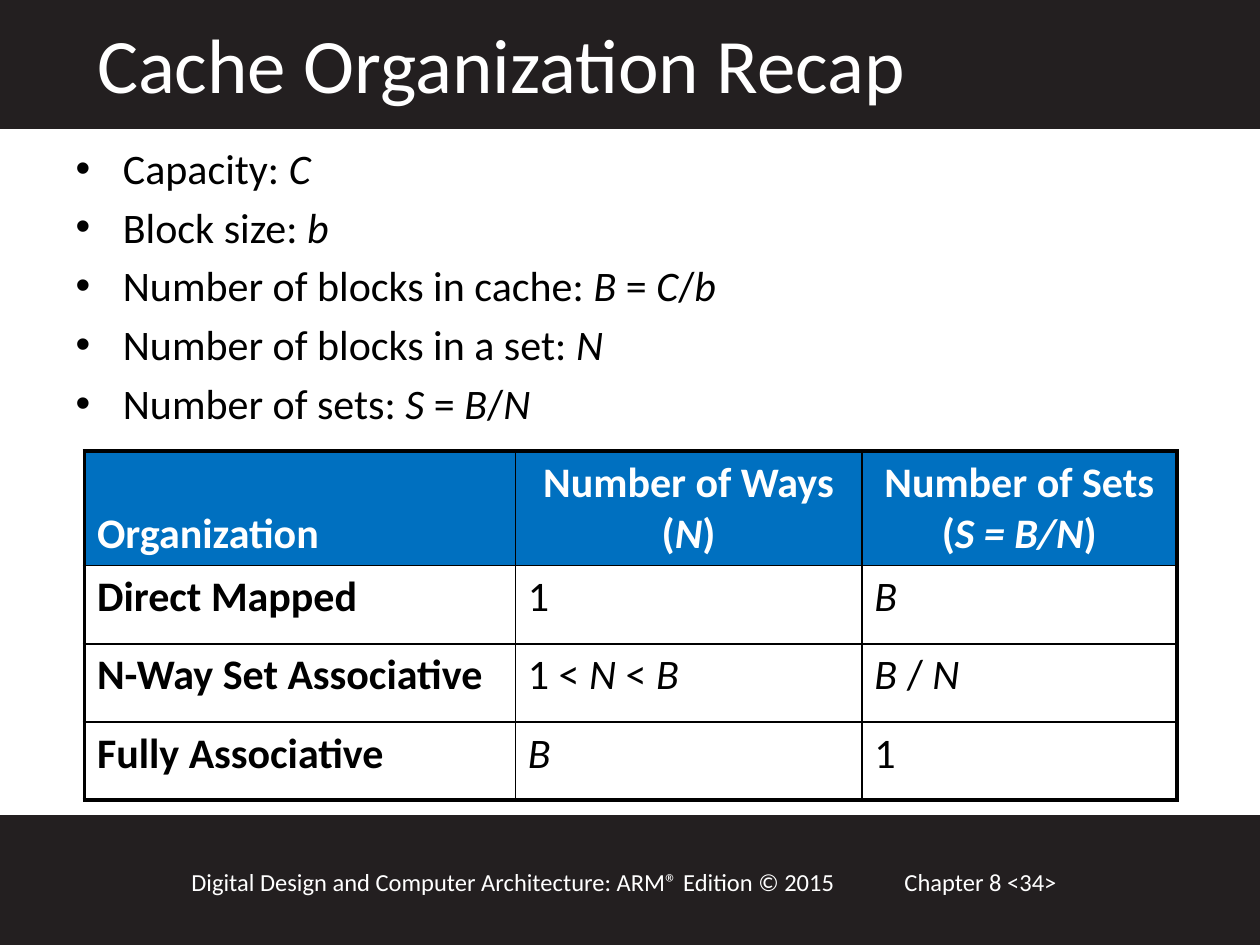
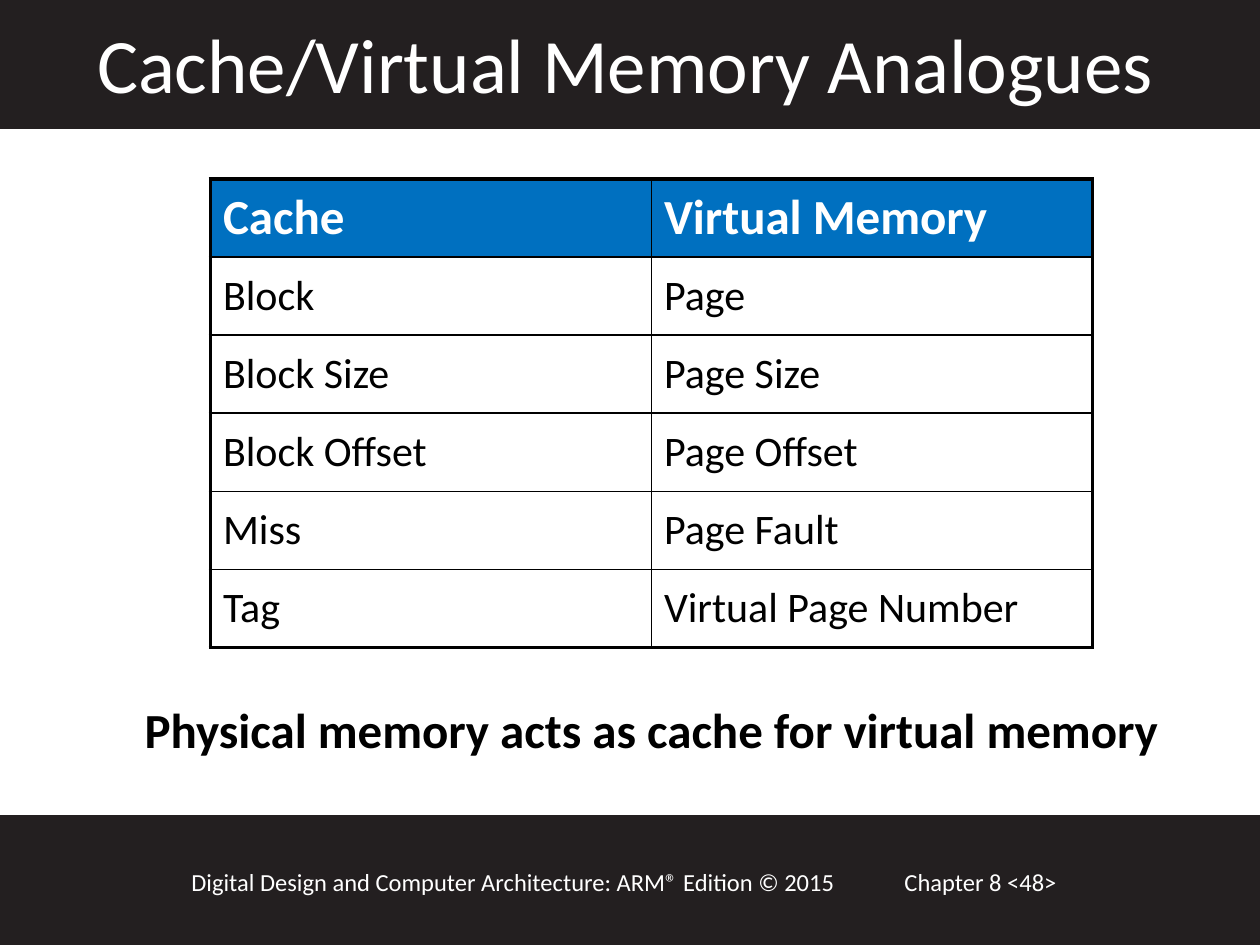
from lxml.etree import SubElement
from pptx import Presentation
from pptx.dml.color import RGBColor
from pptx.enum.shapes import MSO_SHAPE as Shape
from pptx.enum.text import MSO_ANCHOR as Anchor, PP_ALIGN as Align
from pptx.oxml.ns import qn
from pptx.util import Inches, Pt

FONT = "Calibri"
WHITE, BLACK, DARK, BLUE = "FFFFFF", "000000", "231F20", "0070C0"
OUTER, INNER = 2.25, 1
ROW_HEIGHT = 0.62
BANDS = [(0, 1.01), (6.48, 1.02)]
BOOK = "Digital Design and Computer Architecture: ARM® Edition © 2015"
CHAPTER = "Chapter 8 <{}>"

# Text between asterisks is italic.
RECAP = {
    "title": "Cache Organization Recap",
    "page": 34,
    "bullets": [
        "Capacity: *C*",
        "Block size: *b*",
        "Number of blocks in cache: *B* = *C*/*b*",
        "Number of blocks in a set: *N*",
        "Number of sets: *S* = *B*/*N*",
    ],
    "table": {
        "rows": [
            ("Organization", "Number of Ways (*N*)", "Number of Sets (*S = B/N*)"),
            ("Direct Mapped", "1", "*B*"),
            ("N-Way Set Associative", "1 < *N* < *B*", "*B* / *N*"),
            ("Fully Associative", "*B*", "1"),
        ],
        "at": (0.67, 3.58),
        "widths": (3.42, 2.75, 2.5),
        "header_height": 0.91,
        "header_size": 24,
        "header_anchor": Anchor.BOTTOM,
        "header_aligns": (Align.LEFT, Align.CENTER, Align.CENTER),
        "anchor": Anchor.TOP,
        "bold_labels": True,
    },
}
ANALOGUES = {
    "title": "Cache/Virtual Memory Analogues",
    "page": 48,
    "table": {
        "rows": [
            ("Cache", "Virtual Memory"),
            ("Block", "Page"),
            ("Block Size", "Page Size"),
            ("Block Offset", "Page Offset"),
            ("Miss", "Page Fault"),
            ("Tag", "Virtual Page Number"),
        ],
        "at": (1.67, 1.42),
        "widths": (3.5, 3.5),
        "header_height": ROW_HEIGHT,
        "header_size": 28,
        "header_anchor": Anchor.MIDDLE,
        "header_aligns": (Align.LEFT, Align.LEFT),
        "anchor": Anchor.MIDDLE,
        "bold_labels": False,
    },
    "conclusion": "Physical memory acts as cache for virtual memory",
}


def color(hex_value):
    return RGBColor.from_string(hex_value)


def place(shape, left, top, width, height):
    shape.left, shape.top = Inches(left), Inches(top)
    shape.width, shape.height = Inches(width), Inches(height)


def write(paragraph, text, size, ink, bold=False, align=Align.LEFT):
    for position, part in enumerate(text.split("*")):
        if part:
            run = paragraph.add_run()
            run.text = part
            if position % 2:
                run.font.italic = True
    paragraph.alignment = align
    font = paragraph.font
    font.name, font.size, font.bold = FONT, Pt(size), bold
    font.color.rgb = color(ink)


def add_text(slide, text, box, size, ink, bold=False):
    frame = slide.shapes.add_textbox(*map(Inches, box)).text_frame
    frame.word_wrap = True
    write(frame.paragraphs[0], text, size, ink, bold)


def add_band(slide, position, top, height):
    band = slide.shapes.add_shape(
        Shape.RECTANGLE, 0, Inches(top), Inches(10), Inches(height))
    band.shadow.inherit = False
    band.fill.solid()
    band.fill.fore_color.rgb = band.line.color.rgb = color(DARK)
    band.line.width = Pt(2)
    slide.shapes._spTree.insert(2 + position, band._element)


def start_slide(deck, layout, content):
    slide = deck.slides.add_slide(deck.slide_layouts[layout])
    for position, (top, height) in enumerate(BANDS):
        add_band(slide, position, top, height)
    add_text(slide, CHAPTER.format(content["page"]), (7.08, 6.83, 2.17, 0.34), 14, WHITE)
    add_text(slide, BOOK, (1.42, 6.83, 5.75, 0.34), 14, WHITE)
    title = slide.shapes.title
    place(title, 0.67, 0.08, 8.67, 0.84)
    write(title.text_frame.paragraphs[0], content["title"], 44, WHITE)
    return slide


def add_bullets(slide, bullets):
    body = slide.placeholders[1]
    place(body, 0.5, 1.08, 6.08, 5.42)
    frame = body.text_frame
    for position, bullet in enumerate(bullets):
        paragraph = frame.add_paragraph() if position else frame.paragraphs[0]
        write(paragraph, bullet, 24, BLACK)
        paragraph.space_before = Pt(4.8 if position else 0)


def set_borders(cell, outer_sides):
    properties = cell._tc.get_or_add_tcPr()
    for side, is_outer in zip("LRTB", outer_sides):
        width = Pt(OUTER if is_outer else INNER)
        line = SubElement(properties, qn(f"a:ln{side}"), w=str(width))
        SubElement(SubElement(line, qn("a:solidFill")), qn("a:srgbClr"), val=BLACK)


def add_table(slide, spec):
    rows, widths = spec["rows"], spec["widths"]
    heights = [spec["header_height"]] + [ROW_HEIGHT] * (len(rows) - 1)
    box = (*spec["at"], sum(widths), sum(heights))
    table = slide.shapes.add_table(len(rows), len(widths), *map(Inches, box)).table
    table.horz_banding = False
    for column, width in zip(table.columns, widths):
        column.width = Inches(width)
    for r, (texts, height) in enumerate(zip(rows, heights)):
        table.rows[r].height = Inches(height)
        for c, text in enumerate(texts):
            cell = table.cell(r, c)
            set_borders(cell, (c == 0, c == len(widths) - 1, r == 0, r == len(rows) - 1))
            cell.fill.solid()
            cell.fill.fore_color.rgb = color(WHITE if r else BLUE)
            cell.vertical_anchor = spec["anchor"] if r else spec["header_anchor"]
            paragraph = cell.text_frame.paragraphs[0]
            if r:
                write(paragraph, text, 24, BLACK, spec["bold_labels"] and c == 0)
            else:
                write(paragraph, text, spec["header_size"], WHITE, True,
                      spec["header_aligns"][c])


def main():
    deck = Presentation()
    deck.slide_width, deck.slide_height = Inches(10), Inches(7.5)

    recap = start_slide(deck, 1, RECAP)
    add_bullets(recap, RECAP["bullets"])
    add_table(recap, RECAP["table"])

    analogues = start_slide(deck, 5, ANALOGUES)
    add_table(analogues, ANALOGUES["table"])
    add_text(analogues, ANALOGUES["conclusion"], (1.05, 5.5, 8.83, 0.92), 28, BLACK, True)

    deck.save("out.pptx")


if __name__ == "__main__":
    main()
